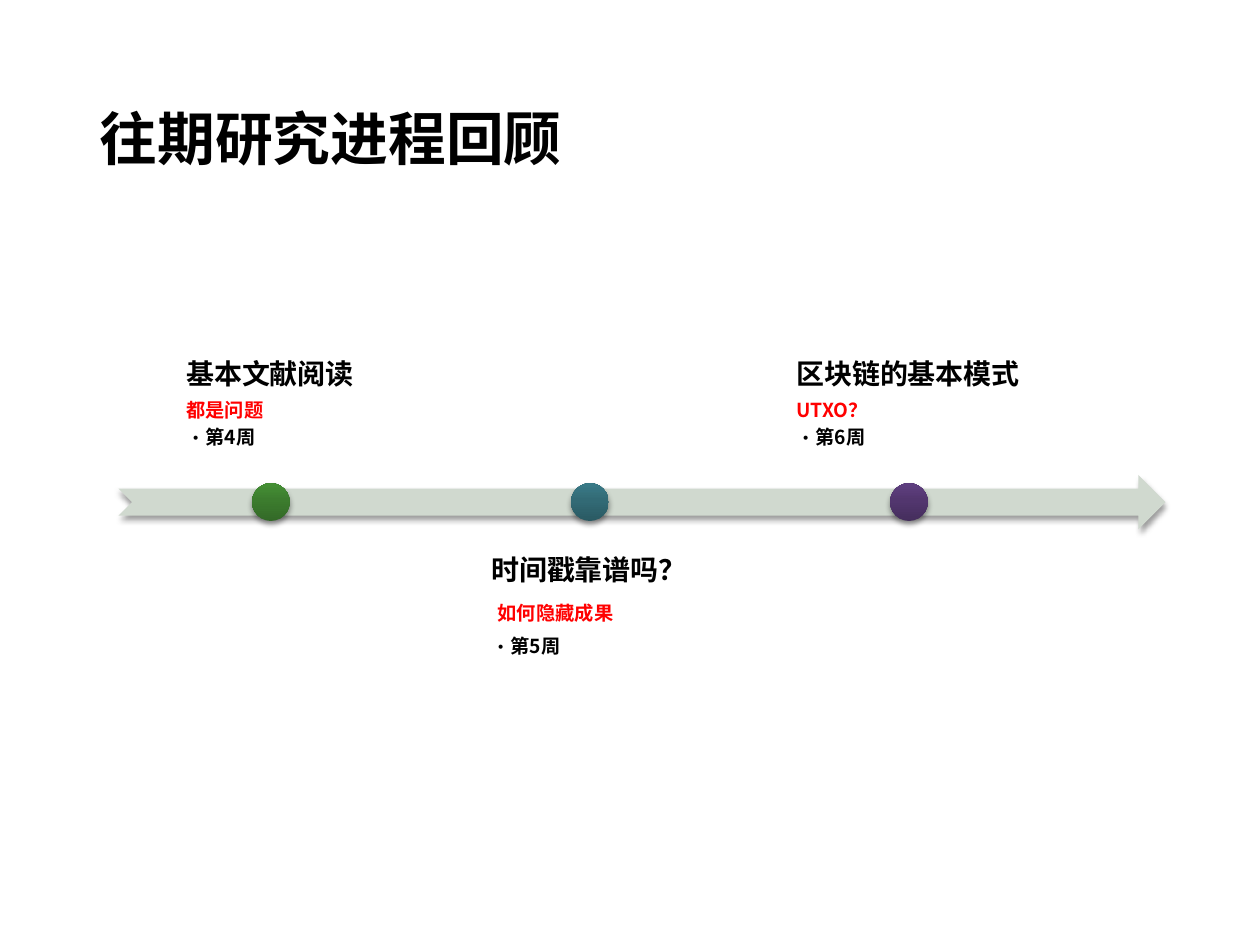
from lxml import etree
from pptx import Presentation
from pptx import util as u
from pptx.dml.color import RGBColor
from pptx.enum import shapes, text
from pptx.oxml import ns

BLACK = RGBColor(0x00, 0x00, 0x00)
RED = RGBColor(0xFF, 0x00, 0x00)
SAGE = RGBColor(0xD0, 0xD9, 0xCF)
GREENS = [RGBColor(0x33, 0x69, 0x27), RGBColor(0x3C, 0x7C, 0x2E), RGBColor(0x45, 0x90, 0x35)]
TEALS = [RGBColor(0x2A, 0x5A, 0x63), RGBColor(0x32, 0x6A, 0x75), RGBColor(0x3A, 0x7B, 0x88)]
PURPLES = [RGBColor(0x45, 0x2E, 0x5D), RGBColor(0x52, 0x36, 0x6E), RGBColor(0x5F, 0x3F, 0x80)]


def add_xml(parent, tag, **attributes):
    return etree.SubElement(parent, ns.qn(tag), attributes)


class TimelineSlide:
    font = "Noto Sans CJK SC"
    cell = u.Inches(0.1)
    line_spacing = 0.9
    inset = u.Inches(0.12)
    hanging = u.Inches(0.06)
    heading_size = 16
    stops = (0, 55, 100)

    def __init__(self, presentation):
        self.slide = presentation.slides.add_slide(presentation.slide_layouts[5])

    def box(self, *cells):
        return [round(value * self.cell) for value in cells]

    def run(self, paragraph, words, size, color):
        run = paragraph.add_run()
        run.text = words
        run.font.size = u.Pt(size)
        run.font.bold = True
        run.font.name = self.font
        run.font.color.rgb = color
        run.font._element.set("kern", "1200")
        add_xml(run.font._element, "a:ea", typeface=self.font)

    def paragraph(self, paragraph, runs, after=None, bullet=False):
        paragraph.alignment = text.PP_ALIGN.LEFT
        paragraph.line_spacing = self.line_spacing
        properties = paragraph._p.get_or_add_pPr()
        if after is not None:
            paragraph.space_after = u.Pt(0)
            spacing = properties.find(ns.qn("a:spcAft"))
            spacing.remove(spacing[0])
            add_xml(spacing, "a:spcPct", val=str(after * 1000))
        if bullet:
            paragraph.level = 1
            properties.set("marL", str(self.hanging))
            properties.set("indent", str(-self.hanging))
            add_xml(properties, "a:buFont", typeface=self.font)
            add_xml(properties, "a:buChar", char="•")
        for run in runs:
            self.run(paragraph, *run)

    def title(self, words, *cells):
        title = self.slide.shapes.title
        title.left, title.top, title.width, title.height = self.box(*cells)
        title.text_frame.vertical_anchor = text.MSO_ANCHOR.MIDDLE
        self.paragraph(title.text_frame.paragraphs[0], [(words, 33, BLACK)])

    def shape(self, kind, *cells):
        shape = self.slide.shapes.add_shape(kind, *self.box(*cells))
        shape.line.fill.background()
        shape.shadow.inherit = False
        effects = shape._element.spPr.find(ns.qn("a:effectLst"))
        shadow = add_xml(effects, "a:outerShdw", blurRad=str(u.Pt(3.1)), dist=str(u.Pt(2)),
                         dir="5400000", rotWithShape="0")
        color = add_xml(shadow, "a:srgbClr", val=str(BLACK))
        add_xml(color, "a:alpha", val="38000")
        return shape

    def arrow(self, color, *cells):
        arrow = self.shape(shapes.MSO_SHAPE.NOTCHED_RIGHT_ARROW, *cells)
        arrow.fill.solid()
        arrow.fill.fore_color.rgb = color

    def dot(self, colors, left, top, size):
        dot = self.shape(shapes.MSO_SHAPE.OVAL, left, top, size, size)
        dot.fill.gradient()
        dot.fill.gradient_angle = 90
        stop_list = next(dot._element.spPr.iter(ns.qn("a:gsLst")))
        for stop in list(stop_list):
            stop_list.remove(stop)
        for position, color in zip(self.stops, colors):
            stop = add_xml(stop_list, "a:gs", pos=str(position * 1000))
            add_xml(stop, "a:srgbClr", val=str(color))

    def entry(self, heading, remark, week, anchor, *cells):
        box = self.slide.shapes.add_textbox(*self.box(*cells))
        frame = box.text_frame
        frame.word_wrap = True
        frame.vertical_anchor = anchor
        frame.margin_left = (box.width - len(heading) * u.Pt(self.heading_size)) // 2
        frame.margin_right = frame.margin_top = frame.margin_bottom = self.inset
        self.paragraph(frame.paragraphs[0], [(heading, self.heading_size, BLACK)], after=35)
        self.paragraph(frame.add_paragraph(), remark, after=35)
        self.paragraph(frame.add_paragraph(), [(week, 11, BLACK)], after=15, bullet=True)


presentation = Presentation()
presentation.slide_width, presentation.slide_height = u.Inches(10), u.Inches(7.5)
timeline = TimelineSlide(presentation)
timeline.title("往期研究进程回顾", 6.9, 4, 86.2, 14.5)

LEFT, STEP = 9.4, 25.32
timeline.arrow(SAGE, LEFT, 37.7, 83.1, 4.3)

ENTRIES = [
    ("基本文献阅读", [("都是问题", 11, RED)], "第4周", GREENS),
    ("时间戳靠谱吗？", [(" ", 16, BLACK), ("如何隐藏成果", 11, RED)], "第5周", TEALS),
    ("区块链的基本模式", [("UTXO？", 11, RED)], "第6周", PURPLES),
]
SIDES = [(text.MSO_ANCHOR.BOTTOM, 24.72), (text.MSO_ANCHOR.TOP, 42.97)]
for index, (heading, remark, week, colors) in enumerate(ENTRIES):
    anchor, top = SIDES[index % 2]
    left = LEFT + index * STEP
    timeline.entry(heading, remark, week, anchor, left, top, 24.1, 12.1)
    timeline.dot(colors, left + 10.6, 38.35, 3)

presentation.save("out.pptx")
